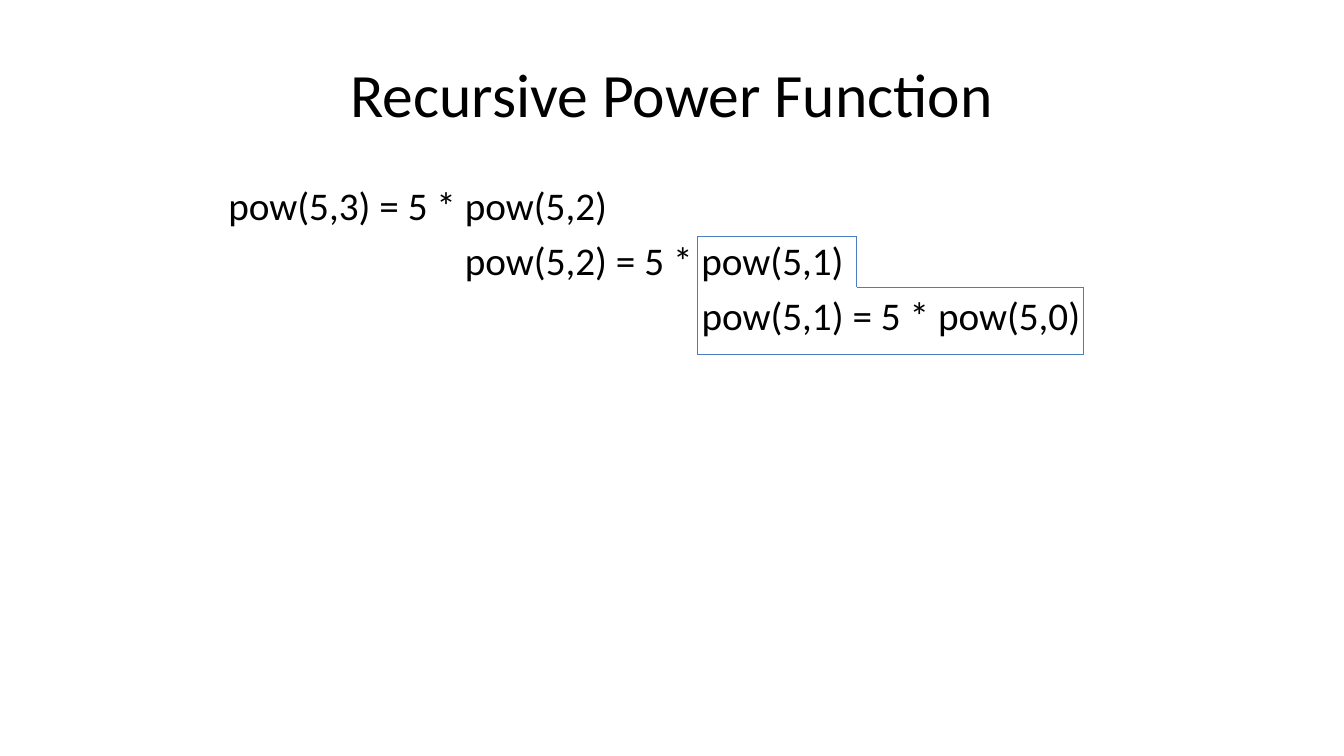
"""Build the slide that unrolls a recursive power function."""
from dataclasses import dataclass

from lxml.etree import SubElement
from pptx import Presentation
from pptx.dml.color import RGBColor
from pptx.enum.shapes import MSO_CONNECTOR as Connector
from pptx.enum.text import MSO_ANCHOR as Anchor, PP_ALIGN as Align
from pptx.oxml.ns import qn
from pptx.slide import Slide
from pptx.text.text import TextFrame
from pptx.util import Pt

BLACK = RGBColor(0x00, 0x00, 0x00)
BLUE = RGBColor(0x4B, 0x7E, 0xBC)
FONT = "Calibri"
CALL_INDENT = 169


@dataclass(frozen=True)
class Area:
    left: float
    top: float
    width: float
    height: float


@dataclass(frozen=True)
class Corner:
    x: float
    y: float


TITLE_AREA = Area(48, 21.6, 864, 90)
CALLS_AREA = Area(156, 126, 666, 356.4)
CALLS = (
    "pow(5,3) = 5 * pow(5,2)",
    "pow(5,2) = 5 * pow(5,1)",
    "pow(5,1) = 5 * pow(5,0)",
)
OUTLINE = (
    Corner(498, 169.2),
    Corner(612, 169.2),
    Corner(612, 205.2),
    Corner(774, 205.2),
    Corner(774, 253.4),
    Corner(498, 253.4),
)


def add_frame(page: Slide, area: Area, anchor: Anchor) -> TextFrame:
    box = page.shapes.add_textbox(
        Pt(area.left), Pt(area.top), Pt(area.width), Pt(area.height)
    )
    box.text_frame.word_wrap = True
    box.text_frame.vertical_anchor = anchor
    return box.text_frame


def write(
    frame: TextFrame,
    text: str,
    *,
    size: float,
    align: Align = Align.LEFT,
    space_before: float = 0,
    indent: float = 0,
) -> None:
    para = frame.paragraphs[0]
    if para.runs:
        para = frame.add_paragraph()
    para.alignment = align
    para.space_before = Pt(space_before)
    para._p.get_or_add_pPr().set("marL", str(Pt(indent)))
    span = para.add_run()
    span.text = text
    span.font.name = FONT
    span.font.size = Pt(size)
    span.font.color.rgb = BLACK


def draw_line(page: Slide, start: Corner, end: Corner) -> None:
    line = page.shapes.add_connector(
        Connector.STRAIGHT, Pt(start.x), Pt(start.y), Pt(end.x), Pt(end.y)
    )
    line.line.color.rgb = BLUE
    line.line.width = Pt(0.75)
    SubElement(line._element.spPr, qn("a:effectLst"))


def main() -> None:
    deck = Presentation()
    deck.slide_width, deck.slide_height = Pt(960), Pt(540)
    page = deck.slides.add_slide(deck.slide_layouts[6])

    title = add_frame(page, TITLE_AREA, Anchor.MIDDLE)
    write(title, "Recursive Power Function", size=44, align=Align.CENTER)

    calls = add_frame(page, CALLS_AREA, Anchor.TOP)
    for depth, call in enumerate(CALLS):
        write(calls, call, size=28, space_before=5.6, indent=depth * CALL_INDENT)

    for start, end in zip(OUTLINE, OUTLINE[1:] + OUTLINE[:1]):
        draw_line(page, start, end)

    deck.save("out.pptx")


if __name__ == "__main__":
    main()
